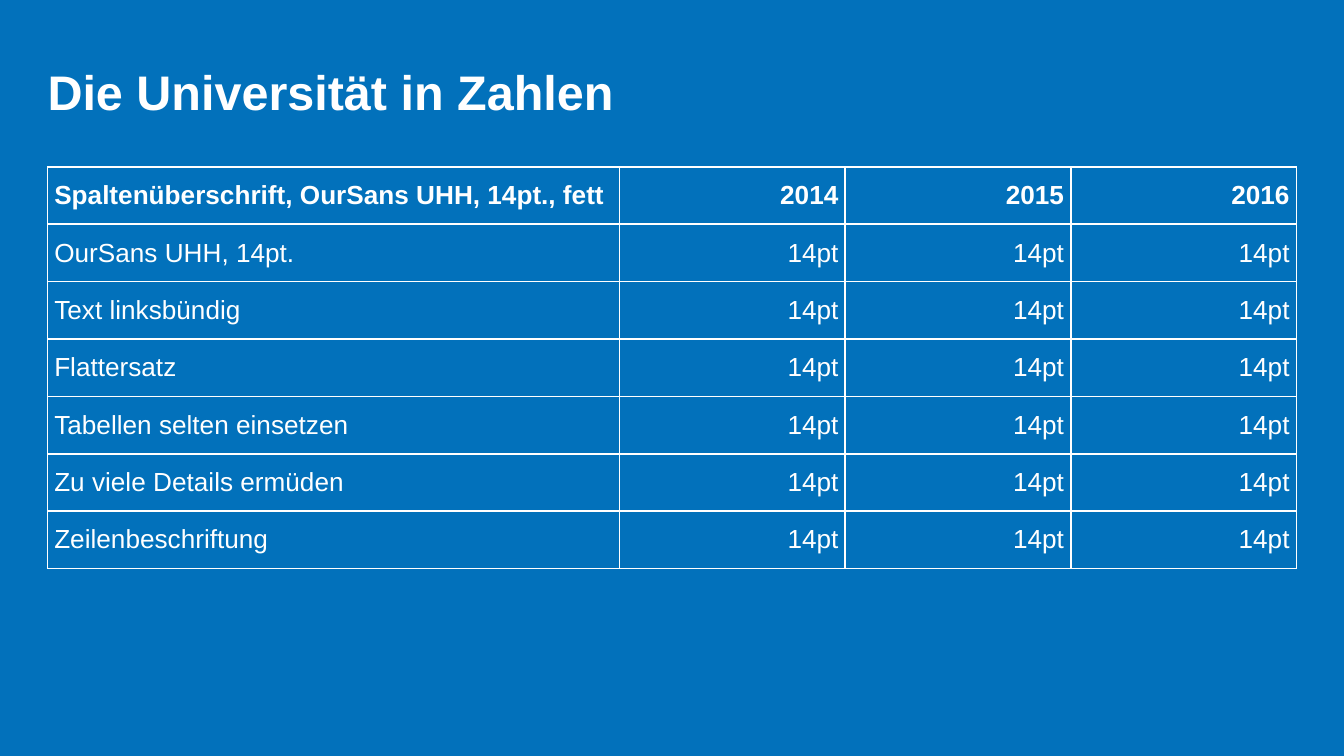
from lxml import etree
from pptx import Presentation
from pptx import util as u
from pptx.dml.color import RGBColor
from pptx.enum import text
from pptx.oxml.ns import qn

COLORS = {"background": "0271BB", "foreground": "FFFFFF"}
FONT = "Arial"
WIDTH = u.Inches(10)
HEIGHT = WIDTH * 9 // 16
INSET = u.Inches(0.05)
COLUMN_WEIGHTS = (4.26, 1.68, 1.68, 1.68)

HEADER = ("Spaltenüberschrift, OurSans UHH, 14pt., fett", "2014", "2015", "2016")
LABELS = (
    "OurSans UHH, 14pt.",
    "Text linksbündig",
    "Flattersatz",
    "Tabellen selten einsetzen",
    "Zu viele Details ermüden",
    "Zeilenbeschriftung",
)
ROWS = [HEADER] + [(label, "14pt", "14pt", "14pt") for label in LABELS]


def content_box(top_percent, height_percent):
    left = WIDTH * 3.54 / 100
    top = HEIGHT * top_percent / 100
    height = HEIGHT * height_percent / 100
    return int(left), int(top), int(WIDTH - 2 * left), int(height)


def add_run(paragraph, words, size, bold):
    run = paragraph.add_run()
    run.text = words
    run.font.name = FONT
    run.font.size = u.Pt(size)
    run.font.bold = bold
    run.font.color.rgb = RGBColor.from_string(COLORS["foreground"])


def add_title(slide, box, words):
    frame = slide.shapes.add_textbox(*box).text_frame
    frame.word_wrap = True
    frame.vertical_anchor = text.MSO_ANCHOR.TOP
    frame.margin_left = 0
    frame.margin_top = frame.margin_bottom = INSET
    paragraph = frame.paragraphs[0]
    paragraph.line_spacing = 1.1
    add_run(paragraph, words, 26, True)


def add_borders(cell):
    properties = cell._tc.get_or_add_tcPr()
    for position, side in enumerate(("lnL", "lnR", "lnT", "lnB")):
        line = etree.Element(qn(f"a:{side}"), w=str(u.Pt(1)))
        fill = etree.SubElement(line, qn("a:solidFill"))
        etree.SubElement(fill, qn("a:srgbClr"), val=COLORS["foreground"])
        properties.insert(position, line)


def add_figures_table(slide, box, rows):
    left, top, width, height = box
    table = slide.shapes.add_table(
        len(rows), len(COLUMN_WEIGHTS), left, top, width, height
    ).table
    table.horz_banding = False
    for column, weight in zip(table.columns, COLUMN_WEIGHTS):
        column.width = int(width * weight / sum(COLUMN_WEIGHTS))
    for row_index, values in enumerate(rows):
        table.rows[row_index].height = height // len(rows)
        for column_index, value in enumerate(values):
            cell = table.cell(row_index, column_index)
            cell.fill.background()
            cell.vertical_anchor = text.MSO_ANCHOR.MIDDLE
            cell.margin_left = cell.margin_right = INSET
            cell.margin_top = cell.margin_bottom = INSET
            add_borders(cell)
            paragraph = cell.text_frame.paragraphs[0]
            if column_index:
                paragraph.alignment = text.PP_ALIGN.RIGHT
            add_run(paragraph, value, 14, row_index == 0)


def main():
    presentation = Presentation()
    presentation.slide_width, presentation.slide_height = WIDTH, HEIGHT
    slide = presentation.slides.add_slide(presentation.slide_layouts[6])
    background = slide.background.fill
    background.solid()
    background.fore_color.rgb = RGBColor.from_string(COLORS["background"])
    add_title(slide, content_box(6.58, 11.2), "Die Universität in Zahlen")
    add_figures_table(slide, content_box(22.08, 53.15), ROWS)
    presentation.save("out.pptx")


if __name__ == "__main__":
    main()
